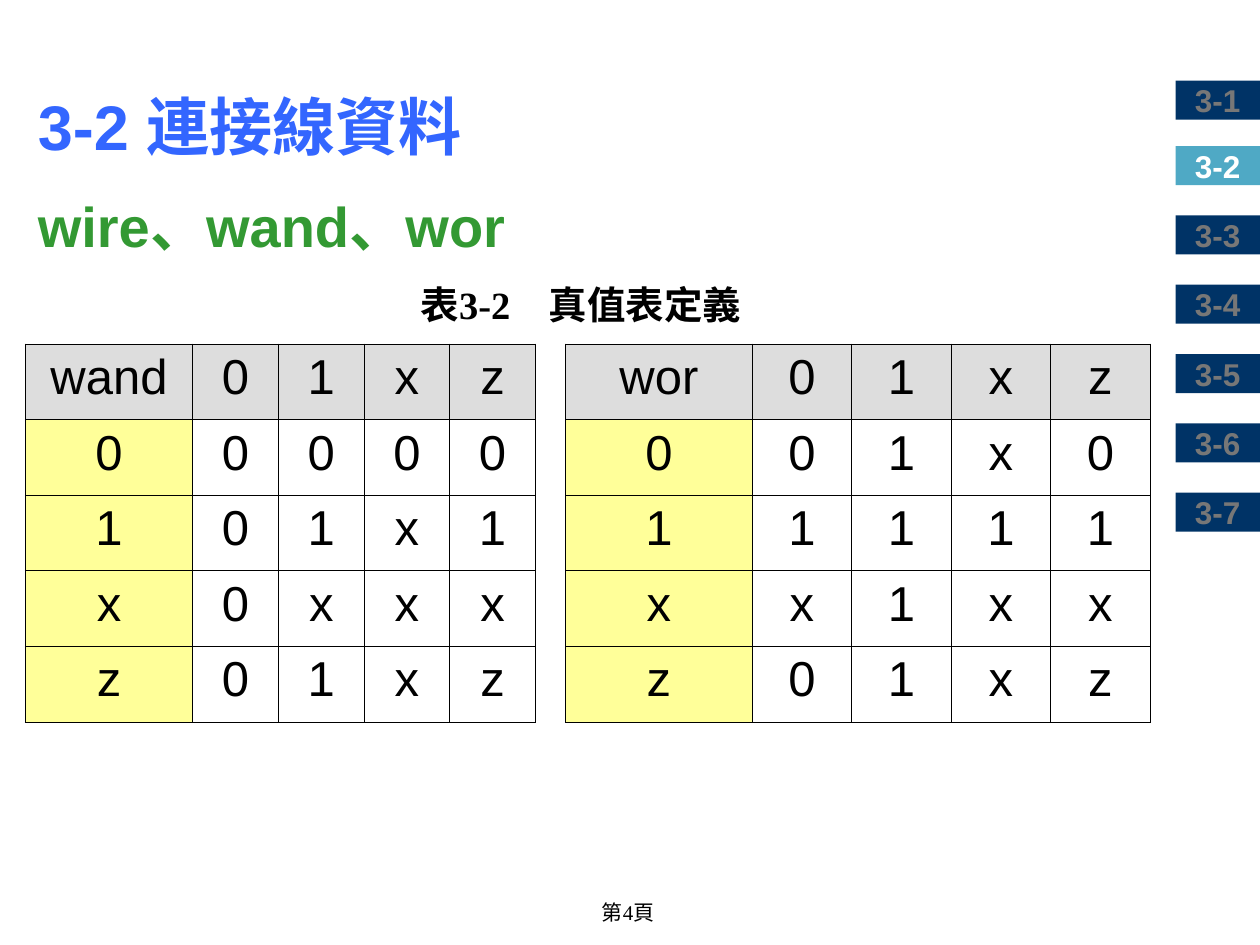
from dataclasses import dataclass
from lxml.etree import SubElement
from pptx import Presentation
from pptx.dml.color import RGBColor
from pptx.enum.shapes import MSO_SHAPE
from pptx.enum.text import MSO_ANCHOR as Anchor, MSO_AUTO_SIZE as AutoSize, PP_ALIGN as Align
from pptx.oxml.ns import qn
from pptx.util import Inches, Pt


@dataclass(frozen=True)
class Theme:
    """Colours, typefaces and type sizes of the slide."""
    sans: str = "Arial"
    serif: str = "Times New Roman"
    title: str = "3366FF"
    heading: str = "339933"
    ink: str = "000000"
    paper: str = "FFFFFF"
    header_fill: str = "DDDDDD"
    label_fill: str = "FFFF99"
    tab_fill: str = "003366"
    tab_text: str = "777777"
    active_fill: str = "4FA9C5"
    title_size: int = 36
    heading_size: int = 32
    table_size: int = 28
    caption_size: int = 22
    tab_size: int = 18
    page_size: int = 12
    border: float = 0.45


THEME = Theme()
SECTIONS = [f"3-{number}" for number in range(1, 8)]
TRUTH_ROWS = [
    ("wand 0 1 x z", "wor 0 1 x z"),
    ("0 0 0 0 0", "0 0 1 x 0"),
    ("1 0 1 x 1", "1 1 1 1 1"),
    ("x 0 x x x", "x x 1 x x"),
    ("z 0 1 x z", "z 0 1 x z"),
]
GAP_COLUMN = 5
COLUMN_WIDTHS = [1.33] + [0.68] * 4 + [0.24, 1.48] + [0.79] * 4


def set_attributes(target, values):
    """Set each named attribute of an object."""
    for name, value in values.items():
        setattr(target, name, value)


def place(shape, box):
    """Move a shape to a box of left, top, width and height in inches."""
    set_attributes(shape, dict(zip(("left", "top", "width", "height"), map(Inches, box))))


def write(frame, text, size, color, font=THEME.sans, bold=False, align=Align.LEFT):
    """Fill a text frame with one formatted paragraph and return it."""
    paragraph = frame.paragraphs[0]
    set_attributes(paragraph, {"alignment": align, "space_before": Pt(0)})
    run = paragraph.add_run()
    run.text = text
    set_attributes(run.font, {"name": font, "size": Pt(size), "bold": bold})
    run.font.color.rgb = RGBColor.from_string(color)
    return paragraph


def fill_solid(target, color):
    """Give a shape or cell a plain fill."""
    target.fill.solid()
    target.fill.fore_color.rgb = RGBColor.from_string(color)


def add_placeholder_text(shape, box, anchor, text, size, color):
    """Place a placeholder and write a bold line without a bullet."""
    place(shape, box)
    set_attributes(shape.text_frame, {
        "vertical_anchor": anchor, "word_wrap": True, "auto_size": AutoSize.NONE})
    paragraph = write(shape.text_frame, text, size, color, bold=True)
    properties = paragraph._p.get_or_add_pPr()
    set_attributes(paragraph, {"line_spacing": 1.0})
    for name in ("marL", "indent"):
        properties.set(name, "0")
    SubElement(properties, qn("a:buNone"))


def add_label(slide, box, text, size, **text_format):
    """Add a one-line serif text box."""
    frame = slide.shapes.add_textbox(*map(Inches, box)).text_frame
    set_attributes(frame, {"word_wrap": False, "auto_size": AutoSize.SHAPE_TO_FIT_TEXT})
    write(frame, text, size, THEME.ink, THEME.serif, **text_format)


def add_section_tabs(slide, box, active):
    """Stack the section tabs down a box, with the active one lit."""
    left, top, width, height = box
    tab_height, pitch = 0.31, 0.55
    last_top = top + height - tab_height
    for index, section in enumerate(SECTIONS):
        tab_top = last_top - pitch * (len(SECTIONS) - 1 - index) if index else top
        tab = slide.shapes.add_shape(
            MSO_SHAPE.RECTANGLE, *map(Inches, (left, tab_top, width, tab_height)))
        tab.shadow.inherit = False
        tab.line.fill.background()
        lit = section == active
        fill_solid(tab, THEME.active_fill if lit else THEME.tab_fill)
        set_attributes(tab.text_frame, {"word_wrap": False, "vertical_anchor": Anchor.MIDDLE})
        write(tab.text_frame, section, THEME.tab_size,
              THEME.paper if lit else THEME.tab_text, bold=True, align=Align.CENTER)


def set_borders(cell, is_gap):
    """Rule a cell on all sides, or only left and right in the gap."""
    properties = cell._tc.get_or_add_tcPr()
    for side in "LRTB":
        line = SubElement(properties, qn(f"a:ln{side}"), w=str(Pt(THEME.border)))
        if is_gap and side in "TB":
            SubElement(line, qn("a:noFill"))
        else:
            fill = SubElement(line, qn("a:solidFill"))
            SubElement(fill, qn("a:srgbClr"), val=THEME.ink)


def add_truth_tables(slide, box):
    """Add both truth tables as one grid split by a narrow gap column."""
    rows = [left.split() + [""] + right.split() for left, right in TRUTH_ROWS]
    table = slide.shapes.add_table(
        len(rows), len(COLUMN_WIDTHS), *map(Inches, box)).table
    set_attributes(table, {"first_row": False, "horz_banding": False})
    for column, width in zip(table.columns, COLUMN_WIDTHS):
        column.width = Inches(width)
    for row_index, values in enumerate(rows):
        for column_index, value in enumerate(values):
            cell = table.cell(row_index, column_index)
            is_gap = column_index == GAP_COLUMN
            set_borders(cell, is_gap)
            color = THEME.paper
            if not is_gap and row_index == 0:
                color = THEME.header_fill
            elif column_index in (0, GAP_COLUMN + 1):
                color = THEME.label_fill
            fill_solid(cell, color)
            if value:
                write(cell.text_frame, value, THEME.table_size, THEME.ink, align=Align.CENTER)


def main():
    """Build and save the slide."""
    presentation = Presentation()
    set_attributes(presentation, {"slide_width": Inches(10), "slide_height": Inches(7.5)})
    slide = presentation.slides.add_slide(presentation.slide_layouts[1])
    add_label(slide, (4.35, 7.09, 1.27, 0.3), "第4頁", THEME.page_size, align=Align.CENTER)
    add_section_tabs(slide, (9.33, 0.64, 0.67, 3.58), "3-2")
    add_placeholder_text(slide.shapes.title, (0.2, 0.6, 9.04, 0.79), Anchor.MIDDLE,
                         "3-2 連接線資料", THEME.title_size, THEME.title)
    add_placeholder_text(slide.placeholders[1], (0.2, 1.47, 9.04, 5.51), Anchor.TOP,
                         "wire、wand、wor", THEME.heading_size, THEME.heading)
    add_truth_tables(slide, (0.2, 2.73, 8.94, 3))
    add_label(slide, (3.24, 2.18, 2.89, 0.47), "表3-2\u3000真值表定義".replace("\u3000", "　"),
              THEME.caption_size, bold=True)
    presentation.save("out.pptx")


if __name__ == "__main__":
    main()
